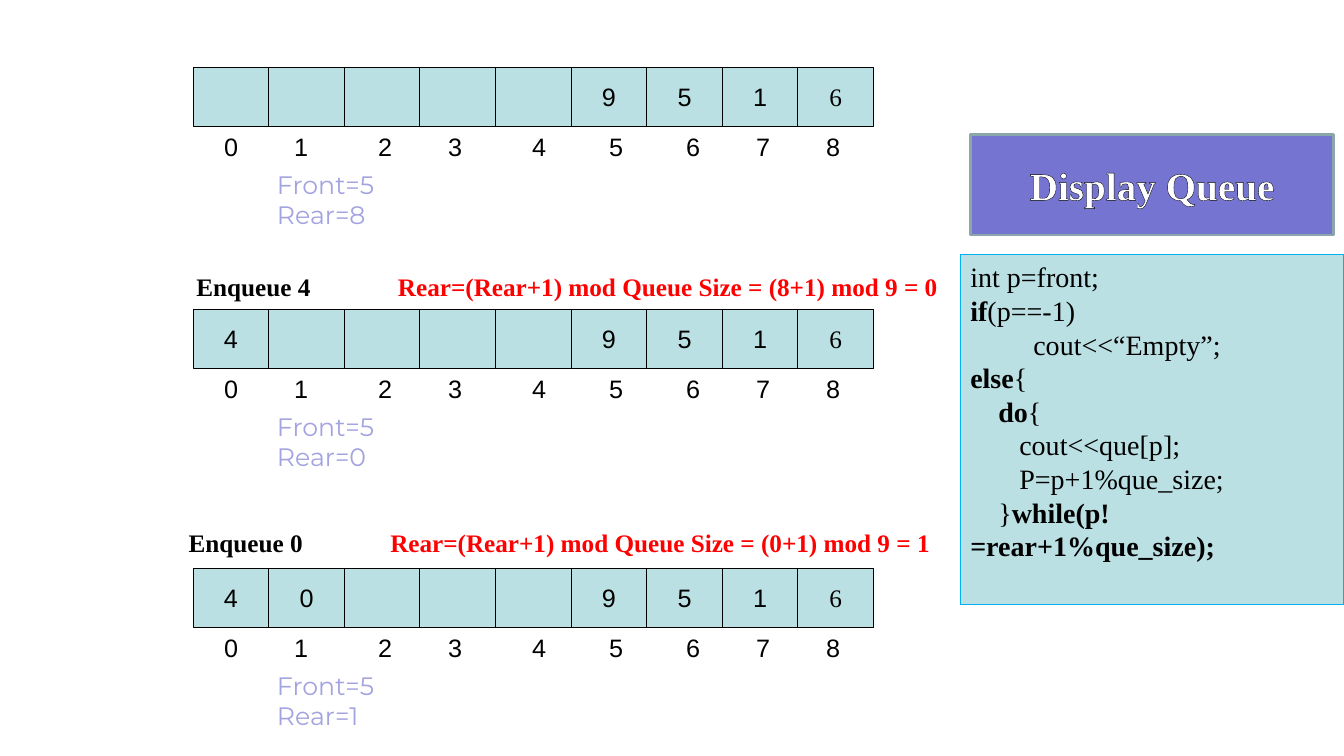
from dataclasses import dataclass

from lxml.etree import SubElement
from pptx import Presentation
from pptx.dml.color import RGBColor as RGB
from pptx.enum.shapes import MSO_SHAPE as SHAPE
from pptx.enum.text import MSO_ANCHOR as ANCHOR, PP_ALIGN as ALIGN
from pptx.oxml import parse_xml
from pptx.oxml.ns import nsdecls, qn
from pptx.util import Pt


@dataclass(frozen=True)
class Theme:
    black: str = "000000"
    white: str = "FFFFFF"
    red: str = "FF0000"
    lilac: str = "A3A3E0"
    violet: str = "7575D1"
    aqua: str = "BBE0E3"
    sage: str = "8AA6A8"
    sky: str = "00B0F0"
    sans: str = "Arial"
    serif: str = "Times New Roman"
    display: str = "Montserrat"
    body: int = 18
    code: int = 20
    title: int = 28


T = Theme()


def add_run(p, text, font, size, color, bold=False):
    r = p.add_run()
    r.text = text
    r.font.name = font
    r.font.size = Pt(size)
    r.font.bold = bold
    r.font.color.rgb = RGB.from_string(color)
    return r


def paint(sp, fill, line, width):
    sp.fill.solid()
    sp.fill.fore_color.rgb = RGB.from_string(fill)
    sp.line.color.rgb = RGB.from_string(line)
    sp.line.width = Pt(width)


prs = Presentation()
prs.slide_width, prs.slide_height = Pt(960), Pt(540)
s = prs.slides.add_slide(prs.slide_layouts[5])

LEFT, CELL_W, CELL_H = 138, 54, 42
INDEX_TABS = [15, 65, 125, 175, 235, 290, 345, 395, 445]
QUEUES = [
    (48.2, "     9516", 8),
    (221, "4    9516", 0),
    (406.1, "40   9516", 1),
]
for top, values, rear in QUEUES:
    queue = s.shapes.add_group_shape()
    for i, value in enumerate(values):
        sp = queue.shapes.add_shape(SHAPE.RECTANGLE, Pt(LEFT + i * CELL_W), Pt(top), Pt(CELL_W), Pt(CELL_H))
        sp.shadow.inherit = False
        paint(sp, T.aqua, T.black, 0.75)
        if value != " ":
            tf = sp.text_frame
            tf.word_wrap = False
            tf.vertical_anchor = ANCHOR.MIDDLE
            p = tf.paragraphs[0]
            p.alignment = ALIGN.CENTER
            add_run(p, value, T.serif if i == 8 else T.sans, T.body, T.black)

    labels = queue.shapes.add_textbox(Pt(LEFT), Pt(top + CELL_H), Pt(9 * CELL_W), Pt(29))
    labels.text_frame.word_wrap = True
    p = labels.text_frame.paragraphs[0]
    tabs = SubElement(p._p.get_or_add_pPr(), qn("a:tabLst"))
    for i, tab in enumerate(INDEX_TABS):
        SubElement(tabs, qn("a:tab"), pos=str(Pt(tab)), algn="l")
        add_run(p, f"\t{i}", T.sans, T.body, T.black)

    ends = queue.shapes.add_textbox(Pt(190.8), Pt(top + 69), Pt(103), Pt(50.4))
    tf = ends.text_frame
    tf.word_wrap = True
    add_run(tf.paragraphs[0], "Front=5", T.display, T.body, T.lilac)
    add_run(tf.add_paragraph(), f"Rear={rear}", T.display, T.body, T.lilac)

STEPS = [
    (133.2, 190.1, "Enqueue 4\t", "Rear=(Rear+1) mod Queue Size = (8+1) mod 9 = 0"),
    (127.7, 373, "Enqueue 0\t", "Rear=(Rear+1) mod Queue Size = (0+1) mod 9 = 1"),
]
for left, top, action, formula in STEPS:
    step = s.shapes.add_textbox(Pt(left), Pt(top), Pt(544.3), Pt(29))
    step.text_frame.word_wrap = False
    p = step.text_frame.paragraphs[0]
    tabs = SubElement(p._p.get_or_add_pPr(), qn("a:tabLst"))
    SubElement(tabs, qn("a:tab"), pos=str(Pt(144)), algn="l")
    add_run(p, action, T.serif, T.body, T.black, True)
    add_run(p, formula, T.serif, T.body, T.red, True)

title = s.shapes.title
title.left, title.top, title.width, title.height = Pt(693.2), Pt(95.9), Pt(259.4), Pt(72)
title._element.spPr.append(parse_xml(f'<a:prstGeom {nsdecls("a")} prst="roundRect"><a:avLst/></a:prstGeom>'))
paint(title, T.violet, T.sage, 2)
title.text_frame.vertical_anchor = ANCHOR.MIDDLE
p = title.text_frame.paragraphs[0]
p.alignment = ALIGN.CENTER
r = add_run(p, "Display Queue", T.serif, T.title, T.white, True)
r.font._element.insert(0, parse_xml(
    f'<a:ln {nsdecls("a")} w="{Pt(0.75)}"><a:solidFill><a:srgbClr val="{T.black}"/></a:solidFill></a:ln>'))

CODE = [
    (0, [("int p=front;", False)]),
    (0, [("if", True), ("(p==-1)", False)]),
    (45, [("cout<<“Empty”;", False)]),
    (0, [("else", True), ("{", False)]),
    (20, [("do", True), ("{", False)]),
    (35, [("cout<<que[p];", False)]),
    (35, [("P=p+1%que_size;", False)]),
    (20, [("}", False), ("while(p!=rear+1%que_size);", True)]),
]
code = s.shapes.add_shape(SHAPE.RECTANGLE, Pt(686), Pt(182), Pt(274), Pt(250))
code.shadow.inherit = False
paint(code, T.aqua, T.sky, 0.75)
tf = code.text_frame
tf.word_wrap = True
tf.vertical_anchor = ANCHOR.TOP
for i, (indent, runs) in enumerate(CODE):
    p = tf.add_paragraph() if i else tf.paragraphs[0]
    p.alignment = ALIGN.LEFT
    p._p.get_or_add_pPr().set("indent", str(Pt(indent)))
    for text, bold in runs:
        add_run(p, text, T.serif, T.code, T.black, bold)

prs.save("out.pptx")
